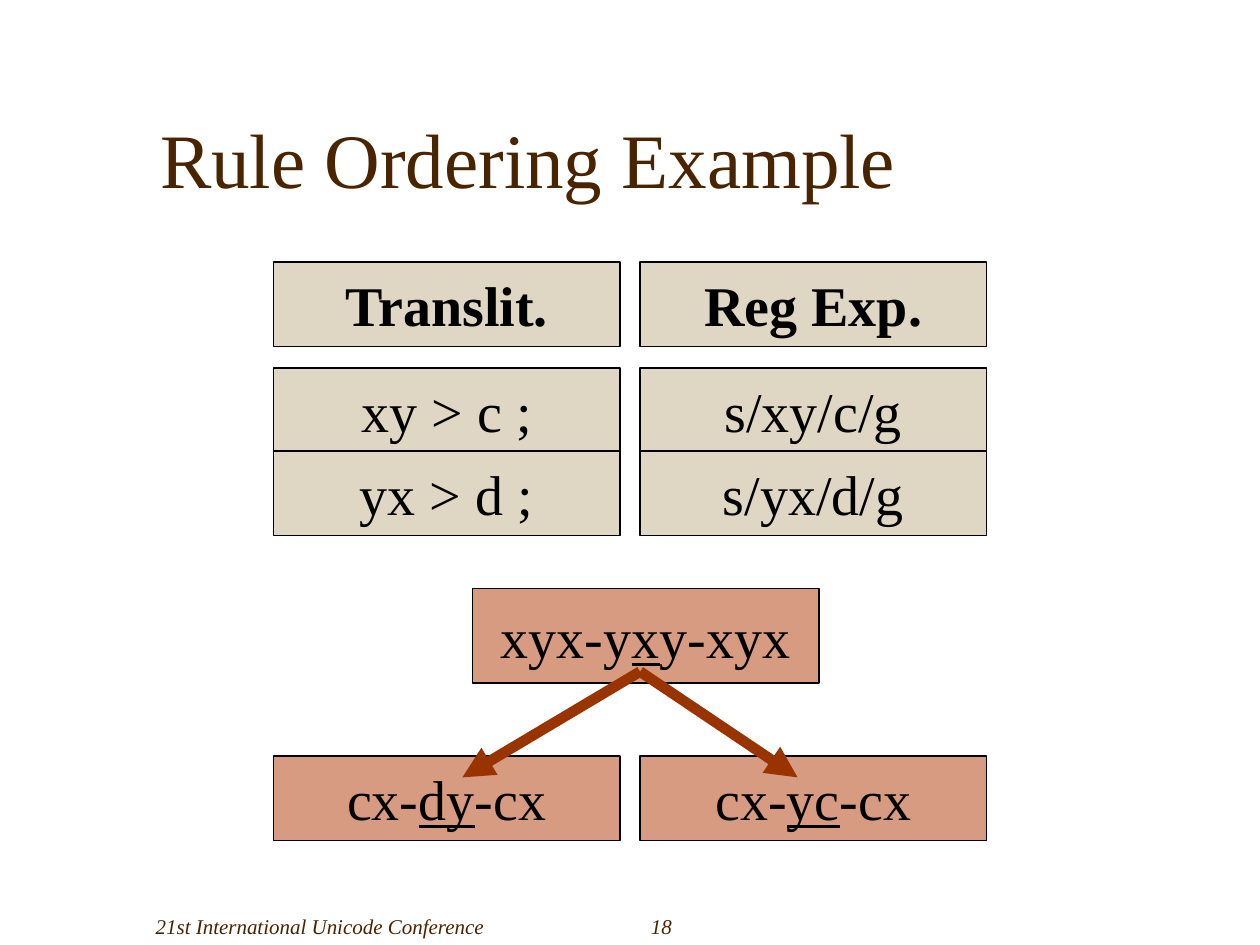
import dataclasses

import pptx
import pptx.dml.color
import pptx.enum.shapes
import pptx.enum.text
import pptx.oxml
import pptx.oxml.ns
import pptx.util

Inches = pptx.util.Inches
Pt = pptx.util.Pt
RGB = pptx.dml.color.RGBColor
Align = pptx.enum.text.PP_ALIGN
Anchor = pptx.enum.text.MSO_ANCHOR

FONT = "Times New Roman"
BROWN = RGB(0x48, 0x24, 0x00)
SAND = RGB(0xDF, 0xD6, 0xC3)
CLAY = RGB(0xD6, 0x9B, 0x80)
RUST = RGB(0x99, 0x33, 0x00)
BLACK = RGB(0, 0, 0)

LEFT, RIGHT = 2.17, 5.08
WIDE, HIGH = 2.75, 0.67


@dataclasses.dataclass
class Box:
    text: str
    x: float
    y: float
    fill: RGB = SAND
    high: float = HIGH
    bold: bool = False


@dataclasses.dataclass
class Arrow:
    start: tuple[float, float]
    end: tuple[float, float]


BOXES = [
    Box("Reg Exp.", RIGHT, 2.08, bold=True),
    Box("Translit.", LEFT, 2.08, bold=True),
    Box("s/xy/c/g", RIGHT, 2.92),
    Box("xy > c ;", LEFT, 2.92),
    Box("s/yx/d/g", RIGHT, 3.58),
    Box("yx > d ;", LEFT, 3.58),
    Box("xyx-y_x_y-xyx", 3.75, 4.67, CLAY, 0.75),
    Box("cx-_yc_-cx", RIGHT, 6, CLAY),
    Box("cx-_dy_-cx", LEFT, 6, CLAY),
]
FORK = (5.08, 5.33)
ARROWS = [Arrow(FORK, (3.67, 6.17)), Arrow(FORK, (6.33, 6.17))]


def write(frame, text: str, *, size: float, color: RGB = BLACK,
          bold: bool = False, italic: bool = False, align=Align.CENTER,
          anchor=Anchor.MIDDLE, wrap: bool = True) -> None:
    """Fill a text frame; parts between underscores are underlined."""
    frame.word_wrap = wrap
    frame.auto_size = pptx.enum.text.MSO_AUTO_SIZE.NONE
    frame.vertical_anchor = anchor
    para = frame.paragraphs[0]
    para.alignment = align
    for i, part in enumerate(text.split("_")):
        run = para.add_run()
        run.text = part
        font = run.font
        font.name, font.size = FONT, Pt(size)
        font.bold, font.italic = bold, italic
        font.underline = i % 2 == 1
        font.color.rgb = color


def draw_box(slide, box: Box) -> None:
    shape = slide.shapes.add_shape(
        pptx.enum.shapes.MSO_SHAPE.RECTANGLE,
        Inches(box.x), Inches(box.y), Inches(WIDE), Inches(box.high))
    shape.shadow.inherit = False
    shape.fill.solid()
    shape.fill.fore_color.rgb = box.fill
    shape.line.color.rgb = BLACK
    shape.line.width = Pt(0.75)
    write(shape.text_frame, box.text, size=32, bold=box.bold, wrap=False)


def draw_arrow(slide, arrow: Arrow) -> None:
    line = slide.shapes.add_connector(
        pptx.enum.shapes.MSO_CONNECTOR.STRAIGHT,
        *map(Inches, arrow.start + arrow.end))
    line.line.color.rgb = RUST
    line.line.width = Pt(6)
    space = pptx.oxml.ns.nsdecls("a")
    head = pptx.oxml.parse_xml(f'<a:tailEnd {space} type="triangle"/>')
    line.line._get_or_add_ln().append(head)
    line._element.spPr.append(pptx.oxml.parse_xml(f"<a:effectLst {space}/>"))


def draw_note(slide, text: str, x: float, wide: float) -> None:
    note = slide.shapes.add_textbox(
        Inches(x), Inches(7), Inches(wide), Inches(0.5))
    write(note.text_frame, text, size=12, color=BROWN, italic=True,
          anchor=Anchor.BOTTOM)


def main() -> None:
    deck = pptx.Presentation()
    deck.slide_width, deck.slide_height = Inches(10), Inches(7.5)
    slide = deck.slides.add_slide(deck.slide_layouts[5])

    title = slide.shapes.title
    title.left, title.top = Inches(1.17), Inches(0.42)
    title.width, title.height = Inches(8.5), Inches(1.25)
    write(title.text_frame, "Rule Ordering Example", size=44, color=BROWN,
          align=Align.LEFT, anchor=Anchor.BOTTOM)

    for box in BOXES:
        draw_box(slide, box)
    for arrow in ARROWS:
        draw_arrow(slide, arrow)
    draw_note(slide, "21st International Unicode Conference", 0.75, 3.58)
    draw_note(slide, "18", 5, 0.5)
    deck.save("out.pptx")


if __name__ == "__main__":
    main()
